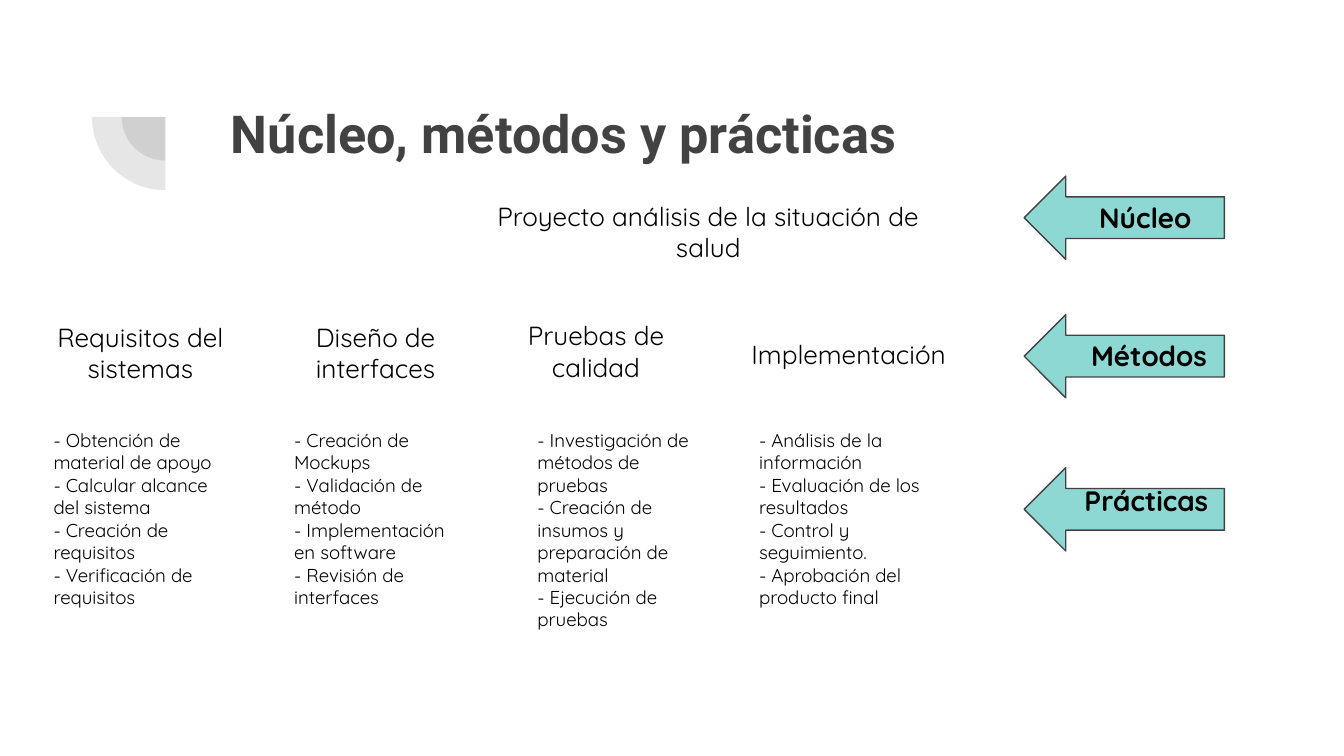
import pptx
import pptx.dml.color
import pptx.enum.shapes
import pptx.enum.text
import pptx.oxml
import pptx.oxml.ns
import pptx.util

Inches = pptx.util.Inches
Shape = pptx.enum.shapes.MSO_SHAPE
Align = pptx.enum.text.PP_ALIGN

DARK, TEAL, BLACK = "424242", "8DD8D3", "000000"

TITLE = "Núcleo, métodos y prácticas"
PROJECT = "Proyecto análisis de la situación de salud"

# heading, heading left, top and height, list left, practices
METHODS = [
    ("Requisitos del sistemas", 0.19, 2.29, 0.58, 0.3,
     ["Obtención de material de apoyo", "Calcular alcance del sistema",
      "Creación de requisitos", "Verificación de requisitos"]),
    ("Diseño de interfaces", 1.94, 2.29, 0.58, 2.09,
     ["Creación de Mockups", "Validación de método",
      "Implementación en software", "Revisión de interfaces"]),
    ("Pruebas de calidad", 3.58, 2.28, 0.62, 3.9,
     ["Investigación de métodos de pruebas",
      "Creación de insumos y preparación de material",
      "Ejecución de pruebas"]),
    ("Implementación", 5.46, 2.42, 0.46, 5.55,
     ["Análisis de la información", "Evaluación de los resultados",
      "Control y seguimiento.", "Aprobación del producto final"]),
]

# label, arrow top, label left, top, width and height
LEVELS = [
    ("Núcleo", 1.31, 8.08, 1.39, 1.18, 0.26),
    ("Métodos", 2.34, 8.02, 2.42, 1.1, 0.46),
    ("Prácticas", 3.48, 7.97, 3.54, 1.18, 0.16),
]

PIE_CENTER = (1.23, 0.87)
PIE_SIZES = [0.65, 1.09]


def color(value):
    return pptx.dml.color.RGBColor.from_string(value)


def add_text(page, lines, left, top, width, height, size=14,
             font="Quicksand", fill=BLACK, bold=False, align=Align.LEFT):
    box = page.shapes.add_textbox(
        Inches(left), Inches(top), Inches(width), Inches(height))
    frame = box.text_frame
    frame.word_wrap = True
    frame.margin_left = frame.margin_right = Inches(0.1)
    frame.margin_top = frame.margin_bottom = Inches(0.1)
    for index, line in enumerate(lines):
        para = frame.paragraphs[0] if index == 0 else frame.add_paragraph()
        para.alignment = align
        span = para.add_run()
        span.text = line
        span.font.size = pptx.util.Pt(size)
        span.font.name = font
        span.font.bold = bold
        span.font.color.rgb = color(fill)


def add_shape(page, kind, left, top, width, height, fill):
    shape = page.shapes.add_shape(
        kind, Inches(left), Inches(top), Inches(width), Inches(height))
    shape.shadow.inherit = False
    shape.fill.solid()
    shape.fill.fore_color.rgb = color(fill)
    return shape


def add_quarter_pie(page, size):
    """Draw the translucent lower left quarter of a disc."""
    x, y = PIE_CENTER
    pie = add_shape(page, Shape.PIE, x - size / 2, y - size / 2, size, size, DARK)
    pie.line.fill.background()
    # Angles are 60000ths of a degree, scaled here by 100000: 90 to 180 degrees
    pie.adjustments[0] = 54
    pie.adjustments[1] = 108
    tint = pie.fill._xPr.find(".//" + pptx.oxml.ns.qn("a:srgbClr"))
    tint.append(pptx.oxml.parse_xml(
        '<a:alpha %s val="13000"/>' % pptx.oxml.ns.nsdecls("a")))


def add_level(page, label, arrow_top, left, top, width, height):
    arrow = add_shape(page, Shape.LEFT_ARROW, 7.62, arrow_top, 1.49, 0.62, TEAL)
    arrow.line.color.rgb = color(DARK)
    arrow.line.width = pptx.util.Pt(0.75)
    add_text(page, [label], left, top, width, height, size=15, bold=True)


def main():
    deck = pptx.Presentation()
    deck.slide_width = Inches(10)
    deck.slide_height = Inches(10 * 9 / 16)
    page = deck.slides.add_slide(deck.slide_layouts[6])

    for size in PIE_SIZES:
        add_quarter_pie(page, size)
    add_text(page, [TITLE], 1.62, 0.65, 7.69, 1.09,
             size=28, font="Roboto", fill=DARK, bold=True)
    add_text(page, [PROJECT], 3.58, 1.39, 3.38, 0.46, align=Align.CENTER)

    for heading, left, top, height, list_left, practices in METHODS:
        add_text(page, [heading], left, top, 1.71, height, align=Align.CENTER)
        add_text(page, ["- " + practice for practice in practices],
                 list_left, 3.09, 1.41, 1.78, size=10)

    for level in LEVELS:
        add_level(page, *level)

    deck.save("out.pptx")


if __name__ == "__main__":
    main()
